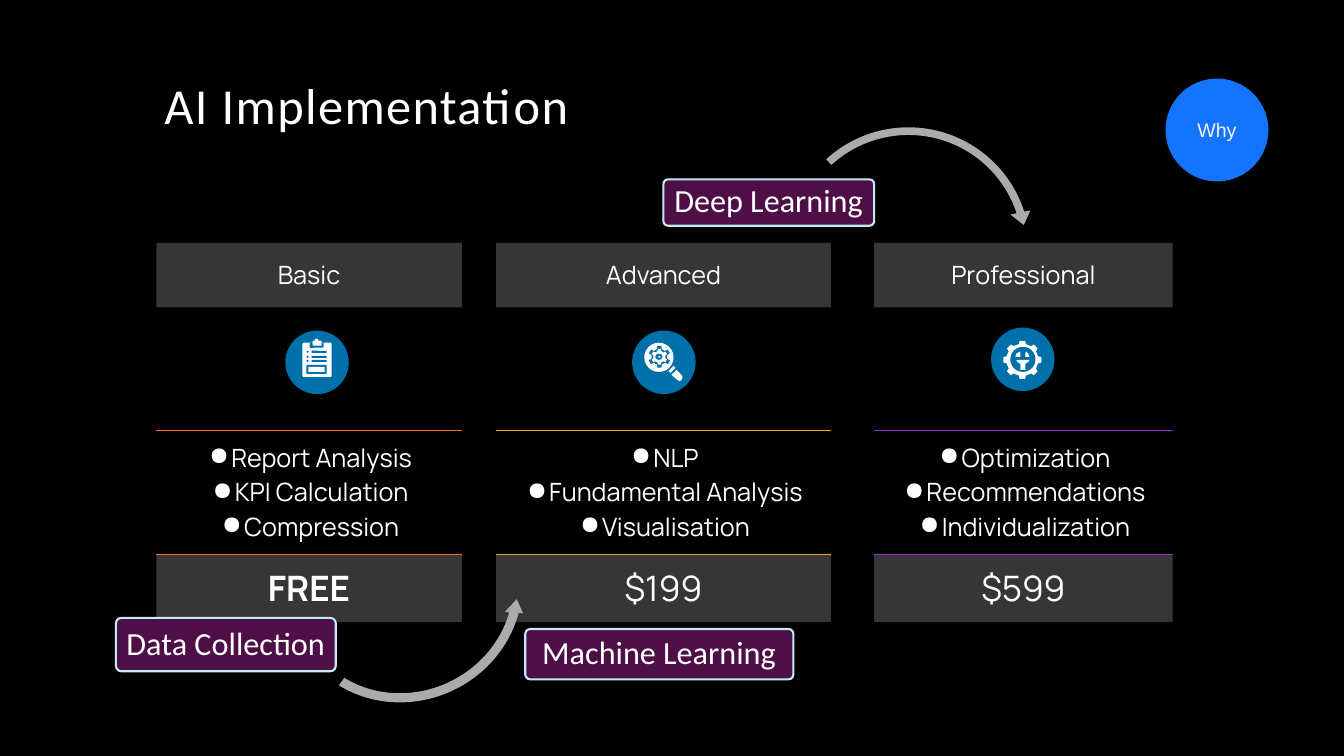
from math import cos, radians, sin

from lxml import etree
from pptx import Presentation
from pptx.dml.color import RGBColor
from pptx.enum.shapes import MSO_SHAPE
from pptx.enum.text import MSO_ANCHOR, PP_ALIGN
from pptx.oxml.ns import qn
from pptx.util import Inches, Pt

OVAL, RECT, ROUND = MSO_SHAPE.OVAL, MSO_SHAPE.RECTANGLE, MSO_SHAPE.ROUNDED_RECTANGLE
CENTER, MIDDLE, BOTTOM = PP_ALIGN.CENTER, MSO_ANCHOR.MIDDLE, MSO_ANCHOR.BOTTOM
COLORS = {
    "black": "000000", "white": "FFFFFF", "icon": "0070AB", "arrow": "ABABAD",
    "label": "4E0E46", "label line": "C1EBF7", "badge": "1474FF", "badge text": "F2F2F2",
    "basic": "F86E24", "advanced": "F8B004", "professional": "972ACD",
}

deck = Presentation()
deck.slide_width, deck.slide_height = Inches(13.33), Inches(7.5)
page = deck.slides.add_slide(deck.slide_layouts[5])
page.background.fill.solid()
page.background.fill.fore_color.rgb = RGBColor.from_string(COLORS["black"])


def add_form(preset, left, top, width, height, color):
    """Add a flat preset shape without line or shadow."""
    form = page.shapes.add_shape(preset, *map(Inches, (left, top, width, height)))
    form.shadow.inherit = False
    form.fill.solid()
    form.fill.fore_color.rgb = RGBColor.from_string(COLORS[color])
    form.line.fill.background()
    return form


def add_outline(points, color):
    """Add a flat closed polygon through points given in inches."""
    corners = [(Inches(x), Inches(y)) for x, y in points]
    builder = page.shapes.build_freeform(*corners[0])
    builder.add_line_segments(corners[1:], close=True)
    outline = builder.convert_to_shape()
    outline.shadow.inherit = False
    outline.fill.solid()
    outline.fill.fore_color.rgb = RGBColor.from_string(COLORS[color])
    outline.line.fill.background()


# Title
title = page.shapes.title
title.left, title.top = Inches(1.53), Inches(-0.11)
title.width, title.height = Inches(10), Inches(1.5)
title.text_frame.text = "AI Implementation"
title.text_frame.vertical_anchor = BOTTOM
title.text_frame.word_wrap = True
para = title.text_frame.paragraphs[0]
para.alignment = PP_ALIGN.LEFT
para.line_spacing = 0.9
para.font.size, para.font.name = Pt(36), "Calibri"
para.font.color.rgb = RGBColor.from_string(COLORS["white"])
para.runs[0].font._element.set("spc", "100")

# Plans: one single-column table each
ROW_HEIGHTS = (0.64, 1.22, 1.23, 0.67)
plans = [
    (1.55, 3.03, "basic", "Basic", ["Report Analysis", "KPI Calculation", "Compression"], "FREE"),
    (4.92, 3.32, "advanced", "Advanced", ["NLP", "Fundamental Analysis", "Visualisation"], "$199"),
    (8.67, 2.96, "professional", "Professional",
     ["Optimization", "Recommendations", "Individualization"], "$599"),
]
for left, width, accent, name, features, price in plans:
    frame = page.shapes.add_table(4, 1, Inches(left), Inches(2.41), Inches(width),
                                  Inches(sum(ROW_HEIGHTS)))
    table = frame.table
    table.first_row = table.horz_banding = False
    for index, lines in enumerate(([name], [""], features, [price])):
        table.rows[index].height = Inches(ROW_HEIGHTS[index])
        cell = table.cell(index, 0)
        cell.vertical_anchor = MIDDLE
        cell.margin_left = cell.margin_right = Inches(0.1)
        cell.margin_top = cell.margin_bottom = Inches(0.1)
        cell.text = "\n".join(lines)
        for para in cell.text_frame.paragraphs:
            para.alignment = CENTER
            if index == 2:
                settings = para._p.get_or_add_pPr()
                settings.set("marL", str(Inches(0.25)))
                settings.set("indent", str(Inches(-0.22)))
                bullet_color = etree.SubElement(settings, qn("a:buClr"))
                etree.SubElement(bullet_color, qn("a:srgbClr"), val=COLORS["white"])
                etree.SubElement(settings, qn("a:buChar"), char="●")
            para.font.size = Pt(25 if index == 3 else 18)
            para.font.bold = price == "FREE" and index == 3
            para.font.name = "Manrope"
            para.font.color.rgb = RGBColor.from_string(COLORS["white"])

        edges = {"lnT": index >= 2, "lnB": index in (1, 2)}
        for edge in ("lnL", "lnR", "lnT", "lnB"):
            border = etree.SubElement(cell._tc.get_or_add_tcPr(), qn(f"a:{edge}"))
            if edges.get(edge):
                border.set("w", str(Pt(0.75)))
                paint = etree.SubElement(border, qn("a:solidFill"))
                etree.SubElement(paint, qn("a:srgbClr"), val=COLORS[accent])
            else:
                etree.SubElement(border, qn("a:noFill"))
        if index in (0, 3):
            cell.fill.solid()
            cell.fill.fore_color.rgb = RGBColor.from_string(COLORS["white"])
            tint = cell._tc.tcPr.find(".//" + qn("a:solidFill") + "[last()]/" + qn("a:srgbClr"))
            tint = cell._tc.tcPr.findall(qn("a:solidFill"))[0][0]
            etree.SubElement(tint, qn("a:alpha"), val="21000")
        else:
            cell.fill.background()

# Icon discs
for left, top in ((2.83, 3.28), (6.27, 3.28), (9.83, 3.25)):
    add_form(OVAL, left, top, 0.63, 0.63, "icon")

# Clipboard
add_form(ROUND, 3, 3.4, 0.29, 0.34, "white").adjustments[0] = 0.05
add_form(ROUND, 3.07, 3.4, 0.14, 0.05, "icon")
add_form(ROUND, 3.1, 3.38, 0.09, 0.05, "white")
add_form(OVAL, 3.12, 3.36, 0.04, 0.04, "white")
for top in (3.48, 3.53, 3.57):
    add_form(OVAL, 3.04, top, 0.02, 0.02, "icon")
    add_form(ROUND, 3.09, top, 0.15, 0.02, "icon")
add_form(ROUND, 3.04, 3.62, 0.2, 0.09, "icon").adjustments[0] = 0.1
add_form(RECT, 3.06, 3.64, 0.16, 0.05, "white")

# Magnifier lens, then all gears, then what lies on top of them
add_form(OVAL, 6.39, 3.4, 0.29, 0.29, "white")
gears = [
    (6.54, 3.54, 6, 0.11, 0.08, "icon"),
    (6.54, 3.54, 6, 0.08, 0.06, "white"),
    (10.14, 3.57, 8, 0.19, 0.16, "white"),
]
for center_x, center_y, teeth, outer, inner, color in gears:
    step = 360 / teeth
    points = []
    for tooth in range(teeth):
        for share, radius in ((-0.28, inner), (-0.18, outer), (0.18, outer), (0.28, inner)):
            angle = radians((tooth + share) * step - 90)
            points.append((center_x + radius * cos(angle), center_y + radius * sin(angle)))
    add_outline(points, color)
add_form(OVAL, 6.5, 3.51, 0.07, 0.06, "icon")
add_form(OVAL, 6.53, 3.53, 0.02, 0.02, "white")
add_outline([(6.63, 3.68), (6.68, 3.63), (6.7, 3.65), (6.65, 3.7)], "white")
add_outline([(6.66, 3.72), (6.71, 3.67), (6.76, 3.72), (6.77, 3.74), (6.76, 3.77),
             (6.74, 3.78), (6.72, 3.77)], "white")

# Plug inside the large gear
add_form(OVAL, 10.02, 3.44, 0.25, 0.25, "icon")
add_outline([(10.07, 3.54), (10.08, 3.51), (10.11, 3.49), (10.12, 3.5), (10.12, 3.54)], "white")
add_outline([(10.21, 3.54), (10.2, 3.51), (10.18, 3.49), (10.17, 3.5), (10.17, 3.54)], "white")
add_outline([(10.08, 3.57), (10.21, 3.57), (10.2, 3.59), (10.17, 3.61), (10.17, 3.67),
             (10.12, 3.67), (10.12, 3.61), (10.09, 3.59)], "white")

# Curved arrows
arrows = [
    (MSO_SHAPE.LEFT_CIRCULAR_ARROW, (2.81, 4.72, 2.43, 2.28), 334.8,
     (0.04, 4.28, 22.03, 90.25, 0.04)),
    (MSO_SHAPE.CIRCULAR_ARROW, (7.74, 1.2, 2.54, 2.54), 17.9,
     (0.03, 3.81, 194.43, 125.76, 0.04)),
]
for preset, place, rotation, adjustments in arrows:
    arrow = add_form(preset, *place, "arrow")
    arrow.rotation = rotation
    for index, value in enumerate(adjustments):
        arrow.adjustments[index] = value

# Labels and badge
captions = [
    (ROUND, (1.15, 6.13, 2.18, 0.53), "label", "Data Collection", 23, "Calibri", "white"),
    (ROUND, (6.58, 1.78, 2.09, 0.46), "label", "Deep Learning", 23, "Calibri", "white"),
    (ROUND, (5.21, 6.24, 2.66, 0.5), "label", "Machine Learning", 23, "Calibri", "white"),
    (OVAL, (11.56, 0.78, 1.02, 1.02), "badge", "Why", 14, "Arial", "badge text"),
]
for preset, place, color, text, size, font, text_color in captions:
    box = add_form(preset, *place, color)
    body = box.text_frame
    body.text = text
    body.word_wrap = True
    body.vertical_anchor = MIDDLE
    para = body.paragraphs[0]
    para.alignment = CENTER
    para.font.size, para.font.name = Pt(size), font
    para.font.color.rgb = RGBColor.from_string(COLORS[text_color])
    if preset == ROUND:
        box.adjustments[0] = 0.1
        box.line.color.rgb = RGBColor.from_string(COLORS["label line"])
        box.line.width = Pt(1.5)
        body.margin_left = body.margin_right = Inches(0.05)
        body.margin_top = body.margin_bottom = Inches(0.03)
        para.line_spacing = 0.9

deck.save("out.pptx")
